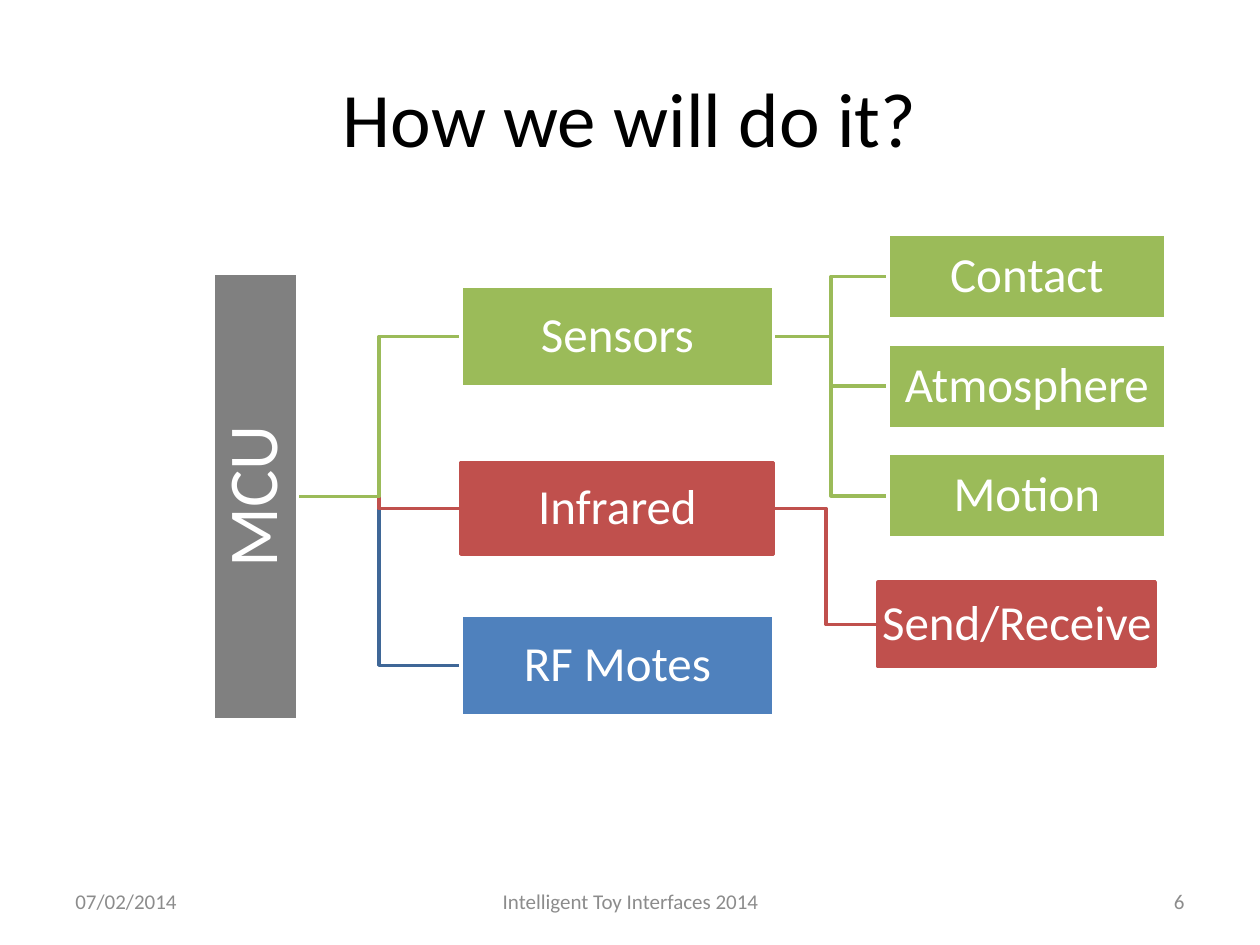
"""Build the slide that shows the MCU and its branches of sensors and links."""
from dataclasses import dataclass

from pptx import Presentation
from pptx.dml.color import RGBColor
from pptx.enum import shapes, text
from pptx.util import Inches, Pt


@dataclass(frozen=True)
class Theme:
    font: str = "Calibri"
    black: str = "000000"
    white: str = "FFFFFF"
    muted: str = "8C8C8C"
    gray: str = "808080"
    green: str = "9BBB59"
    red: str = "C0504D"
    blue: str = "4F81BD"
    dark_blue: str = "3F6797"
    title_size: int = 44
    root_size: int = 40
    box_size: int = 28
    footer_size: int = 12
    line_width: int = 2


@dataclass(frozen=True)
class Node:
    label: str
    left: float
    top: float
    width: float
    height: float
    fill: str
    outline: str
    vertical: bool = False

    @property
    def middle(self):
        return self.top + self.height / 2


class SlideBuilder:
    def __init__(self, slide, theme):
        self.slide = slide
        self.theme = theme

    def set_text(self, shape, content, size, color, align):
        frame = shape.text_frame
        frame.text = content
        frame.vertical_anchor = text.MSO_ANCHOR.MIDDLE
        paragraph = frame.paragraphs[0]
        paragraph.alignment = align
        paragraph.font.name = self.theme.font
        paragraph.font.size = Pt(size)
        paragraph.font.color.rgb = RGBColor.from_string(color)
        return frame

    def stroke(self, shape, color):
        shape.shadow.inherit = False
        shape.line.color.rgb = RGBColor.from_string(color)
        shape.line.width = Pt(self.theme.line_width)

    def title(self, content):
        shape = self.slide.shapes.title
        shape.left, shape.top = Inches(0.5), Inches(0.3)
        shape.width, shape.height = Inches(9), Inches(1.25)
        self.set_text(shape, content, self.theme.title_size, self.theme.black,
                      text.PP_ALIGN.CENTER)

    def footer(self, content, left, width, align):
        shape = self.slide.shapes.add_textbox(
            Inches(left), Inches(6.95), Inches(width), Inches(0.4))
        frame = self.set_text(shape, content, self.theme.footer_size,
                              self.theme.muted, align)
        frame.word_wrap = True

    def link(self, parent, child, color):
        start = parent.left + parent.width
        bend = (start + child.left) / 2
        points = [(bend, parent.middle), (bend, child.middle),
                  (child.left, child.middle)]
        builder = self.slide.shapes.build_freeform(
            Inches(start), Inches(parent.middle))
        builder.add_line_segments(
            [(Inches(x), Inches(y)) for x, y in points], close=False)
        shape = builder.convert_to_shape()
        shape.fill.background()
        self.stroke(shape, color)

    def box(self, node):
        width, height = node.width, node.height
        if node.vertical:
            width, height = height, width
        shape = self.slide.shapes.add_shape(
            shapes.MSO_SHAPE.RECTANGLE,
            Inches(node.left + (node.width - width) / 2),
            Inches(node.middle - height / 2),
            Inches(width), Inches(height))
        shape.rotation = 270 if node.vertical else 0
        shape.fill.solid()
        shape.fill.fore_color.rgb = RGBColor.from_string(node.fill)
        self.stroke(shape, node.outline)
        size = self.theme.root_size if node.vertical else self.theme.box_size
        frame = self.set_text(shape, node.label, size, self.theme.white,
                              text.PP_ALIGN.CENTER)
        frame.word_wrap = False
        frame.margin_left = frame.margin_right = Inches(0.02)
        frame.margin_top = frame.margin_bottom = Inches(0.02)
        frame.paragraphs[0].line_spacing = 0.9


def main():
    theme = Theme()
    presentation = Presentation()
    presentation.slide_width = Inches(10)
    presentation.slide_height = Inches(7.5)
    slide = presentation.slides.add_slide(presentation.slide_layouts[5])
    builder = SlideBuilder(slide, theme)

    builder.footer("07/02/2014", 0.5, 2.33, text.PP_ALIGN.LEFT)
    builder.footer("Intelligent Toy Interfaces 2014", 3.42, 3.17,
                   text.PP_ALIGN.CENTER)
    builder.footer("6", 7.17, 2.33, text.PP_ALIGN.RIGHT)
    builder.title("How we will do it?")

    mcu = Node("MCU", 1.69, 2.17, 0.67, 3.54, theme.gray, theme.white, True)
    sensors = Node("Sensors", 3.66, 2.27, 2.48, 0.8, theme.green, theme.white)
    infrared = Node("Infrared", 3.66, 3.67, 2.48, 0.73, theme.red, theme.red)
    motes = Node("RF Motes", 3.66, 4.88, 2.48, 0.8, theme.blue, theme.white)
    send = Node("Send/Receive", 6.97, 4.62, 2.2, 0.67, theme.red, theme.red)
    sensor_kinds = [
        Node(label, 7.05, 1.86 + row * 0.87, 2.2, 0.67, theme.green, theme.white)
        for row, label in enumerate(("Contact", "Atmosphere", "Motion"))]

    builder.link(mcu, motes, theme.dark_blue)
    builder.link(infrared, send, theme.red)
    builder.link(mcu, infrared, theme.red)
    for kind in reversed(sensor_kinds):
        builder.link(sensors, kind, theme.green)
    builder.link(mcu, sensors, theme.green)

    for node in (mcu, sensors, *sensor_kinds, infrared, send, motes):
        builder.box(node)

    presentation.save("out.pptx")


if __name__ == "__main__":
    main()
